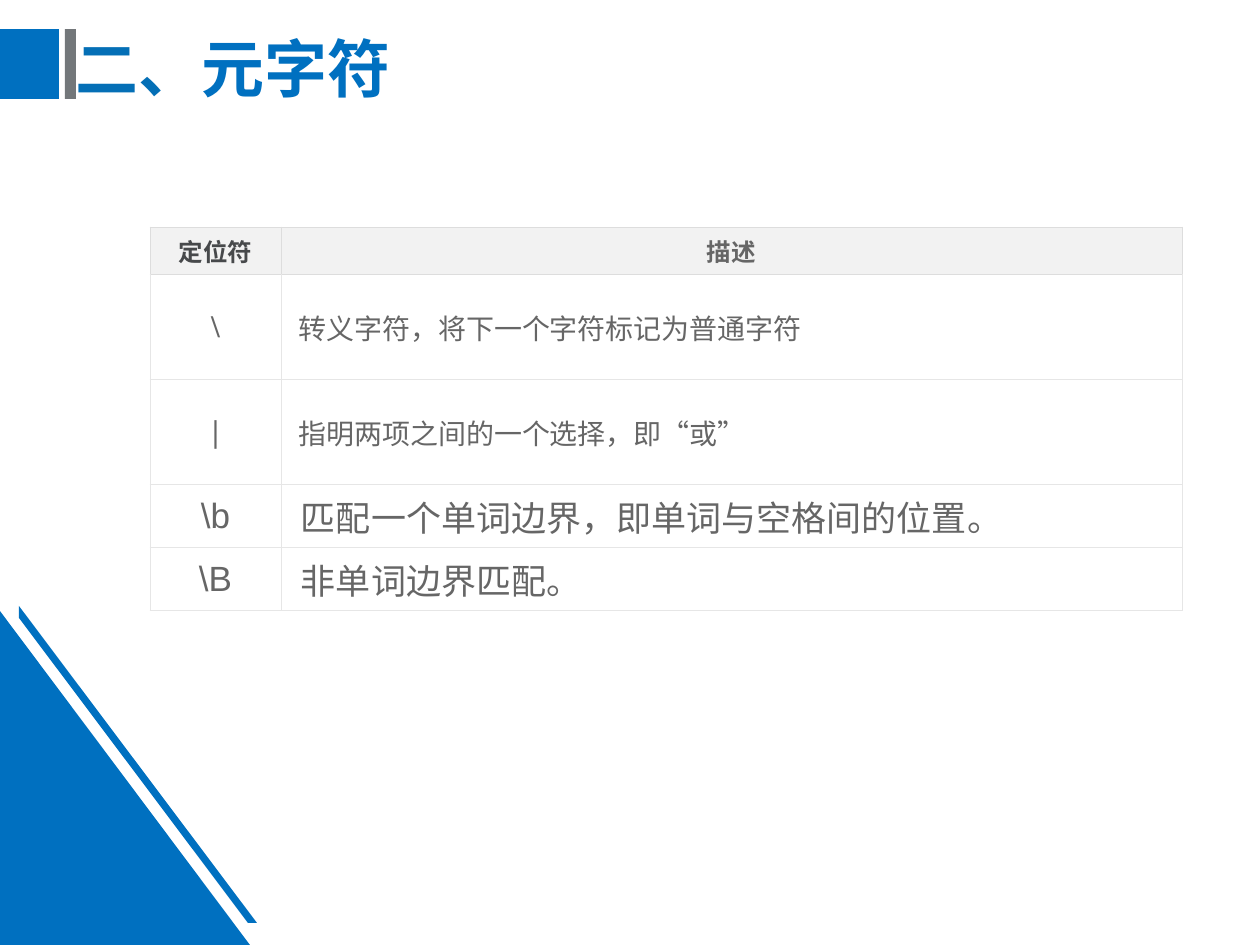
from lxml.etree import SubElement
from pptx import Presentation
from pptx.dml.color import RGBColor
from pptx.enum.shapes import MSO_SHAPE as Preset
from pptx.enum.text import MSO_ANCHOR as Anchor, MSO_AUTO_SIZE as AutoSize, PP_ALIGN as Align
from pptx.oxml.ns import qn
from pptx.util import Pt

BLUE = "0070C0"
GREY_TEXT = "666666"
HEADER_LINE = "DDDDDD"
BODY_LINE = "E6E6E6"
COLUMN_WIDTHS = [131, 901]
ROW_HEIGHTS = [42, 105, 105, 63, 63]
HEADERS = [("定位符", "Calibri", "47494B"), ("描述", "Arial", GREY_TEXT)]
SYMBOL_ROWS = [
    ("\\", "转义字符，将下一个字符标记为普通字符"),
    ("|", "指明两项之间的一个选择，即“或”"),
]
BOUNDARY_ROWS = [
    ("\\b", "匹配一个单词边界，即单词与空格间的位置。"),
    ("\\B", "非单词边界匹配。"),
]


def px(length):
    return round(length * 914400 / 126)


def color(value):
    return RGBColor.from_string(value)


def add_run(paragraph, text, size, font_name, text_color, bold=False):
    run = paragraph.add_run()
    run.text = text
    font = run.font
    font.size = Pt(size)
    font.name = font_name
    font.bold = bold
    font.color.rgb = color(text_color)


def paint(shape, fill):
    shape.shadow.inherit = False
    shape.fill.solid()
    shape.fill.fore_color.rgb = color(fill)
    shape.line.fill.background()


def add_block(group, preset, left, top, width, height, fill):
    shape = group.shapes.add_shape(preset, px(left), px(top), px(width), px(height))
    paint(shape, fill)


def add_stripe(group, points, fill):
    start, *others = [(px(x), px(y)) for x, y in points]
    builder = group.shapes.build_freeform(*start)
    builder.add_line_segments(others, close=True)
    paint(builder.convert_to_shape(), fill)


def add_decoration(slide):
    heading_mark = slide.shapes.add_group_shape()
    add_block(heading_mark, Preset.RECTANGLE, 0, 29, 59, 70, BLUE)
    add_block(heading_mark, Preset.RECTANGLE, 65, 29, 11, 70, "73777A")
    corner = slide.shapes.add_group_shape()
    add_block(corner, Preset.RIGHT_TRIANGLE, 0, 611, 250, 334, BLUE)
    add_stripe(corner, [(19, 606), (257, 923), (248, 923), (19, 618)], BLUE)


def format_title(slide):
    title = slide.shapes.title
    title.left, title.top, title.width, title.height = px(63), px(16), px(1040), px(113)
    frame = title.text_frame
    frame.auto_size = AutoSize.NONE
    frame.vertical_anchor = Anchor.MIDDLE
    paragraph = frame.paragraphs[0]
    paragraph.alignment = Align.LEFT
    paragraph.line_spacing = 0.9
    add_run(paragraph, "二、", 36, "Noto Sans CJK SC", "046FB6", True)
    add_run(paragraph, "元字符", 36, "Noto Sans CJK SC", BLUE, True)


def set_borders(cell, top_color, side_color):
    properties = cell._tc.get_or_add_tcPr()
    sides = {"a:lnL": side_color, "a:lnR": side_color, "a:lnT": top_color, "a:lnB": side_color}
    for tag, line_color in sides.items():
        line = SubElement(properties, qn(tag), w=str(Pt(0.45)))
        fill = SubElement(line, qn("a:solidFill"))
        SubElement(fill, qn("a:srgbClr"), val=line_color)


def fill_cell(cell, text, size, font_name, text_color, bold, alignment,
              inset, fill, top_line, side_line):
    set_borders(cell, top_line, side_line)
    cell.fill.solid()
    cell.fill.fore_color.rgb = color(fill)
    cell.vertical_anchor = Anchor.MIDDLE
    cell.margin_left = cell.margin_right = px(inset)
    cell.margin_top = cell.margin_bottom = px(6)
    paragraph = cell.text_frame.paragraphs[0]
    paragraph.alignment = alignment
    add_run(paragraph, text, size, font_name, text_color, bold)


def fill_body_row(table, row, texts, styles, inset):
    top_line = HEADER_LINE if row == 1 else BODY_LINE
    for column, (text, style) in enumerate(zip(texts, styles)):
        size, font_name, bold = style
        alignment = Align.LEFT if column else Align.CENTER
        fill_cell(table.cell(row, column), text, size, font_name, GREY_TEXT, bold,
                  alignment, inset, "FFFFFF", top_line, BODY_LINE)


def add_metacharacter_table(slide):
    frame = slide.shapes.add_table(len(ROW_HEIGHTS), len(COLUMN_WIDTHS), px(150), px(227),
                                   px(sum(COLUMN_WIDTHS)), px(sum(ROW_HEIGHTS)))
    table = frame.table
    table.horz_banding = False
    for column, width in zip(table.columns, COLUMN_WIDTHS):
        column.width = px(width)
    for row, height in zip(table.rows, ROW_HEIGHTS):
        row.height = px(height)
    for column, (text, font_name, text_color) in enumerate(HEADERS):
        fill_cell(table.cell(0, column), text, 14, font_name, text_color, True,
                  Align.CENTER, 11, "F2F2F2", HEADER_LINE, HEADER_LINE)
    symbol_styles = [(18, "Times New Roman", True), (16, "Arial", False)]
    boundary_styles = [(20, "Arial", False)] * 2
    for row, texts in enumerate(SYMBOL_ROWS, 1):
        fill_body_row(table, row, texts, symbol_styles, 18)
    for row, texts in enumerate(BOUNDARY_ROWS, 1 + len(SYMBOL_ROWS)):
        fill_body_row(table, row, texts, boundary_styles, 20)


def main():
    presentation = Presentation()
    presentation.slide_width = px(1260)
    presentation.slide_height = px(945)
    slide = presentation.slides.add_slide(presentation.slide_layouts[5])
    add_decoration(slide)
    format_title(slide)
    add_metacharacter_table(slide)
    presentation.save("out.pptx")


if __name__ == "__main__":
    main()
